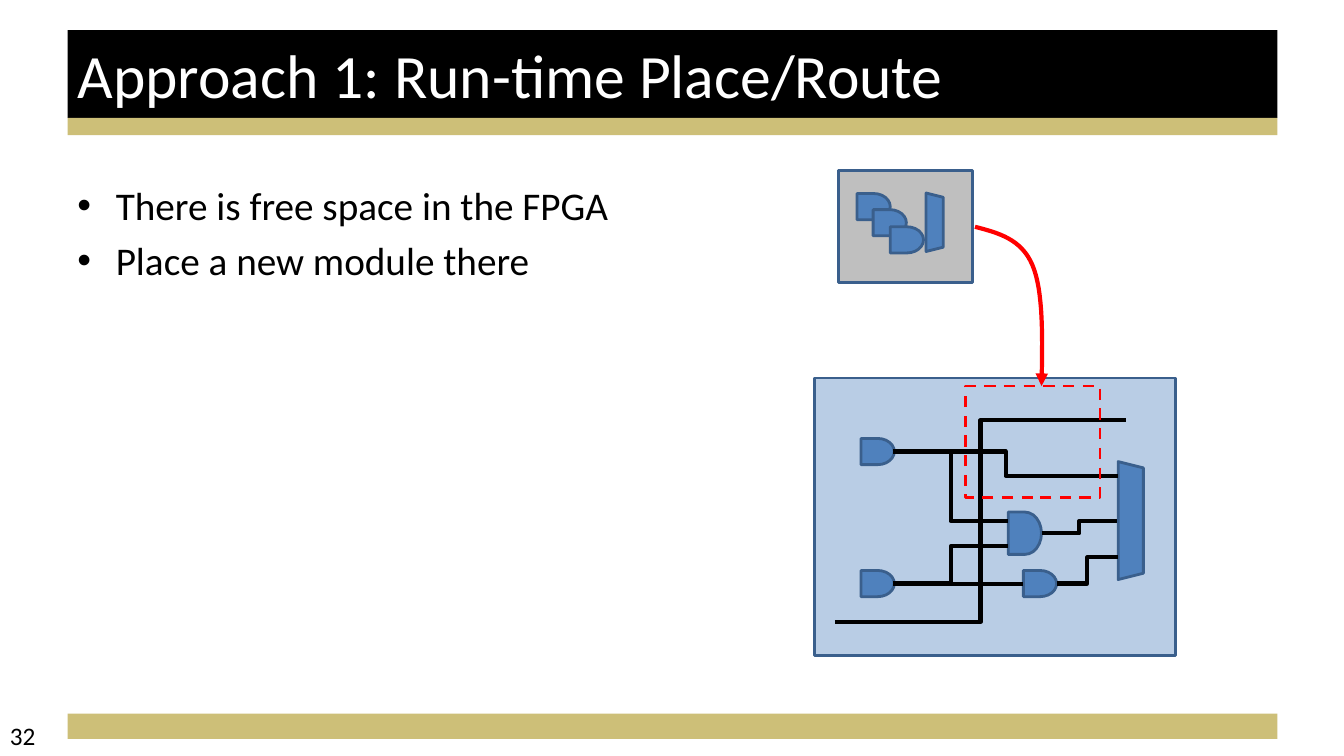
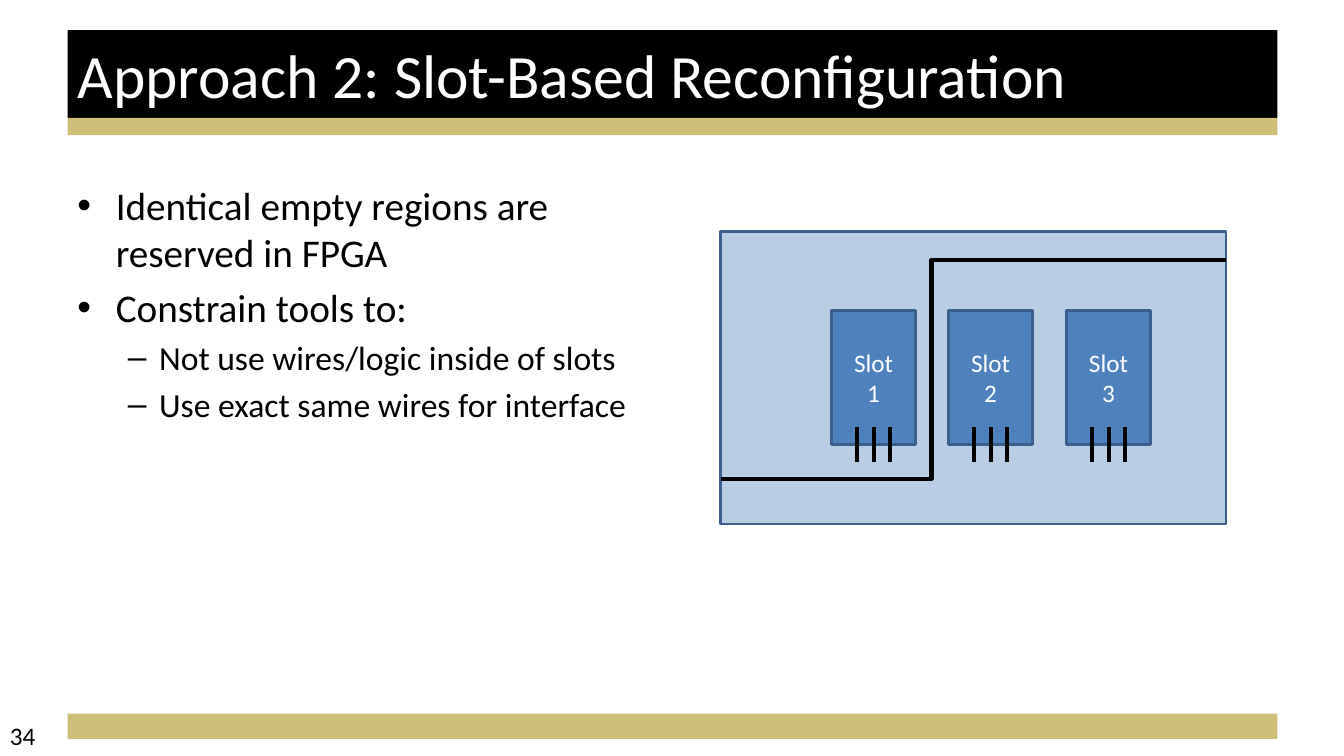
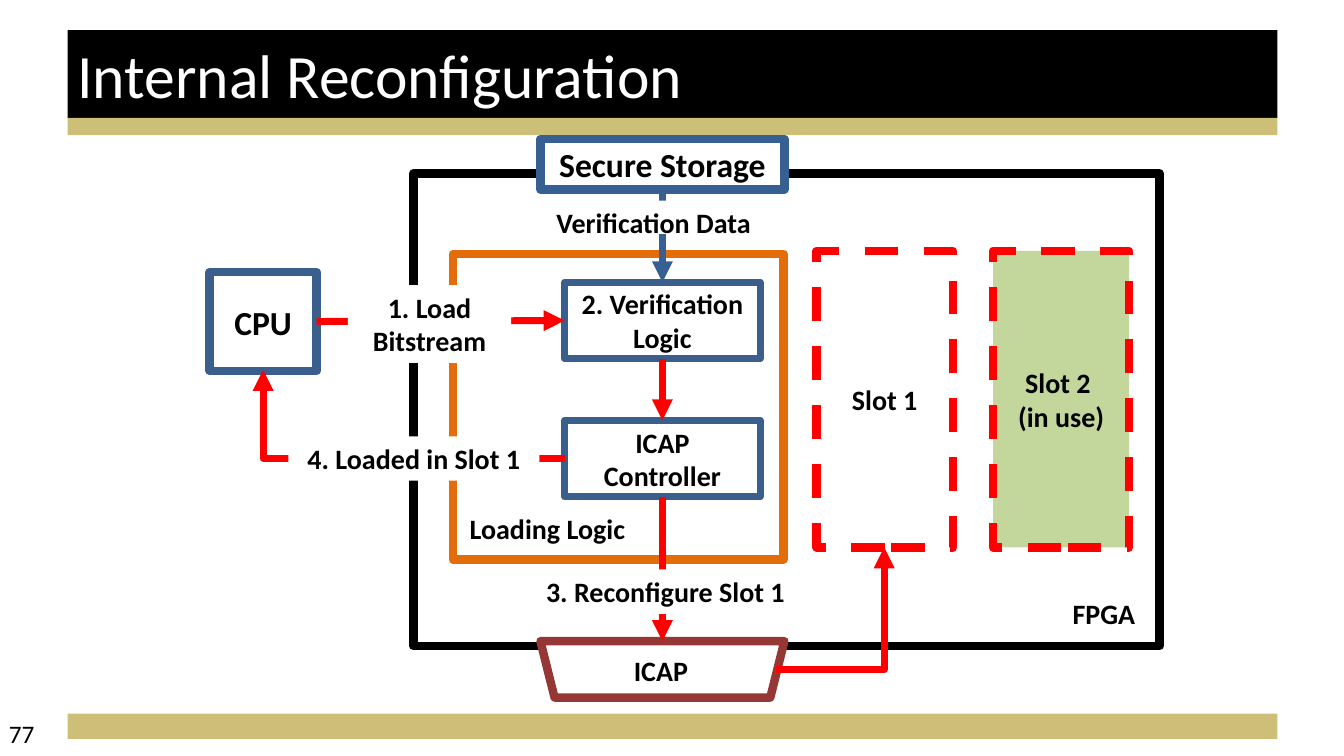
from lxml.etree import SubElement
from pptx import Presentation
from pptx.dml.color import RGBColor
from pptx.enum.dml import MSO_LINE
from pptx.enum.shapes import MSO_CONNECTOR as Wire, MSO_SHAPE as Form
from pptx.enum.text import MSO_ANCHOR as Anchor, PP_ALIGN as Align
from pptx.oxml.ns import qn
from pptx.util import Pt

PX = 9144
BLACK, WHITE, RED = "000000", "FFFFFF", "FF0000"
GOLD, NAVY, BLUE = "CDBF78", "3A5F8C", "4F81BD"
PALE, GRAY, GREEN = "B9CDE5", "BFBFBF", "C3D69B"
ORANGE, STEEL, WINE = "E46C0A", "376092", "953735"
LEVELS = [(28, 38, -38, "•"), (24, 81, -31, "–")]


def ink(color):
    return RGBColor.from_string(color)


def px(*values):
    return [int(value * PX) for value in values]


def put(target, values):
    for name, value in values.items():
        setattr(target, name, value)


def curve(a, b, c, d, steps=16):
    for step in range(1, steps + 1):
        t = step / steps
        s = 1 - t
        yield tuple(
            s**3 * p + 3 * s * s * t * q + 3 * s * t * t * r + t**3 * u
            for p, q, r, u in zip(a, b, c, d)
        )


class Deck:
    font = "Calibri"

    def __init__(self):
        self.show = Presentation()
        put(self.show, {"slide_width": 1333 * PX, "slide_height": 750 * PX})
        self.slide = None

    def page(self, title, number, left=0, top=710):
        self.slide = self.show.slides.add_slide(self.show.slide_layouts[6])
        self.shape((67, 708, 1200, 25), GOLD)
        band = self.shape((67, 30, 1200, 87), BLACK)
        self.fit(band, [title], 44, WHITE, align=Align.LEFT)
        self.shape((67, 117, 1200, 17), GOLD)
        self.label((left, top, 311, 40), number, 18, bold=False)

    def paint(self, item, fill, line, width, dash=False):
        if fill:
            item.fill.solid()
            item.fill.fore_color.rgb = ink(fill)
        else:
            item.fill.background()
        if line:
            self.stroke(item, line, width, dash)
        else:
            item.line.fill.background()

    def stroke(self, item, color, width, dash=False):
        item.line.color.rgb = ink(color)
        item.line.width = Pt(width)
        if dash:
            item.line.dash_style = MSO_LINE.DASH

    def arrow(self, item):
        edge = item.element.spPr.get_or_add_ln()
        SubElement(edge, qn("a:tailEnd"), type="triangle")

    def shape(self, box, fill=None, line=None, width=2, dash=False, form=Form.RECTANGLE, turn=0):
        item = self.slide.shapes.add_shape(form, *px(*box))
        item.shadow.inherit = False
        item.rotation = turn
        self.paint(item, fill, line, width, dash)
        return item

    def span(self, para, text, size, color, bold=False):
        part = para.add_run()
        part.text = text
        put(part.font, {"name": self.font, "size": Pt(size), "bold": bold})
        part.font.color.rgb = ink(color)

    def fit(self, item, lines, size, color=BLACK, bold=False, align=Align.CENTER, anchor=Anchor.MIDDLE):
        frame = item.text_frame
        put(frame, {"word_wrap": True, "vertical_anchor": anchor})
        for index, text in enumerate(lines):
            para = frame.add_paragraph() if index else frame.paragraphs[0]
            para.alignment = align
            self.span(para, text, size, color, bold)
        return item

    def label(self, box, text, size=20, fill=None, bold=True, align=Align.LEFT):
        item = self.slide.shapes.add_textbox(*px(*box))
        self.paint(item, fill, None, 0)
        self.fit(item, [text], size, BLACK, bold, align, Anchor.TOP)

    def block(self, box, lines, line, width, size=20, fill=None, dash=False):
        return self.fit(self.shape(box, fill, line, width, dash), lines, size, bold=True)

    def body(self, items):
        frame = self.slide.shapes.add_textbox(*px(67, 175, 589, 495)).text_frame
        frame.word_wrap = True
        for index, (level, text) in enumerate(items):
            size, left, hang, mark = LEVELS[level]
            para = frame.add_paragraph() if index else frame.paragraphs[0]
            if index:
                para.space_before = Pt(size / 5)
            para.level = level
            props = para._p.get_or_add_pPr()
            for name, value in {"marL": left, "indent": hang}.items():
                props.set(name, str(value * PX))
            SubElement(props, qn("a:buFont"), typeface="Arial")
            SubElement(props, qn("a:buChar"), char=mark)
            self.span(para, text, size, BLACK)

    def wire(self, start, end, color=BLACK, width=3, kind=Wire.STRAIGHT, head=False, tie=(None, None)):
        item = self.slide.shapes.add_connector(kind, *px(*start, *end))
        for join, site in zip((item.begin_connect, item.end_connect), tie):
            if site:
                join(*site)
        self.stroke(item, color, width)
        if head:
            self.arrow(item)
        SubElement(item.element.spPr, qn("a:effectLst"))
        return item

    def bend(self, start, end, ratio=None):
        item = self.wire(start, end, kind=Wire.ELBOW)
        if ratio:
            geom = item.element.spPr.find(qn("a:prstGeom"))
            guides = geom.find(qn("a:avLst"))
            if guides is None:
                guides = SubElement(geom, qn("a:avLst"))
            SubElement(guides, qn("a:gd"), name="adj1", fmla=f"val {int(ratio * 100000)}")

    def corner(self, start, end):
        item = self.wire(start, end, RED, 5, Wire.ELBOW, True)
        item.element.spPr.find(qn("a:prstGeom")).set("prst", "bentConnector2")

    def sweep(self, start, parts):
        build = self.slide.shapes.build_freeform(*px(*start), scale=1.0)
        for part in parts:
            points = [px(*point) for point in curve(start, *part)]
            build.add_line_segments(points, close=False)
            start = part[-1]
        item = build.convert_to_shape()
        item.shadow.inherit = False
        self.paint(item, None, RED, 3)
        self.arrow(item)

    def gate(self, left, top, high=26):
        self.shape((left, top, 33, high), BLUE, NAVY, form=Form.FLOWCHART_DELAY)

    def mux(self, *box):
        self.shape(box, BLUE, NAVY, form=Form.TRAPEZOID, turn=90)


def place(deck):
    deck.page("Approach 1: Run-time Place/Route", "32")
    deck.body([(0, "There is free space in the FPGA"), (0, "Place a new module there")])
    deck.shape((808, 375, 358, 275), PALE, NAVY)
    deck.mux(1063, 504, 117, 25)
    for spot in ((854, 435), (854, 566), (1015, 566)):
        deck.gate(*spot)
    deck.shape((832, 169, 133, 111), GRAY, NAVY)
    deck.mux(898, 212, 58, 17)
    for step in range(3):
        deck.gate(850 + step * 50 // 3, 192 + step * 50 // 3)
    deck.bend((828, 617), (1117, 417))
    deck.bend((886, 448), (1109, 472))
    deck.wire((886, 579), (1015, 579))
    deck.bend((1048, 579), (1109, 553))
    deck.shape((958, 383, 133, 111), None, RED, dash=True)
    deck.sweep((967, 225), [
        ((990, 231), (1013, 237), (1024, 263)),
        ((1035, 289), (1034, 336), (1033, 383)),
    ])
    deck.gate(1000, 508, 42)
    deck.bend((886, 448), (1000, 517))
    deck.bend((886, 579), (1000, 542))
    deck.bend((1033, 529), (1108, 517))


def slots(deck):
    deck.page("Approach 2: Slot-Based Reconfiguration", "34")
    deck.shape((715, 230, 501, 290), PALE, NAVY)
    deck.body([
        (0, "Identical empty regions are reserved in FPGA"),
        (0, "Constrain tools to:"),
        (1, "Not use wires/logic inside of slots"),
        (1, "Use exact same wires for interface"),
    ])
    for index in range(3):
        left = 825 + index * 350 // 3
        slot = deck.shape((left, 308, 83, 133), BLUE, NAVY)
        deck.fit(slot, ["Slot", str(index + 1)], 18, WHITE)
        for pin in (25, 42, 58):
            deck.wire((left + pin, 424), (left + pin, 458))
    deck.bend((715, 475), (1216, 258), 0.417)


def inner(deck):
    deck.page("Internal Reconfiguration", "77", -1, 708)
    deck.shape((449, 252, 328, 303), None, ORANGE, 6)
    deck.shape((410, 172, 740, 469), None, BLACK, 6)
    deck.shape((536, 636, 242, 56), WHITE, WINE, 6, form=Form.TRAPEZOID, turn=180)
    store = deck.block((536, 138, 242, 50), ["Secure Storage"], STEEL, 6, 24, WHITE)
    cpu = deck.block((208, 270, 106, 98), ["CPU"], NAVY, 6, 24)
    check = deck.block((560, 280, 194, 76), ["2. Verification", "Logic"], NAVY, 5)
    port = deck.block((560, 417, 194, 76), ["ICAP Controller"], NAVY, 5)
    deck.block((810, 249, 135, 294), ["Slot 1"], RED, 6, dash=True)
    deck.block((985, 249, 135, 294), ["Slot 2 ", "(in use)"], RED, 6, fill=GREEN, dash=True)
    for start, end, color, tie in (
        ((314, 318), (560, 318), RED, ((cpu, 3), (check, 1))),
        ((657, 356), (657, 417), RED, ((check, 2), (port, 0))),
        ((657, 493), (657, 636), RED, ((port, 2), None)),
        ((657, 188), (657, 280), STEEL, ((store, 2), (check, 0))),
    ):
        deck.wire(start, end, color, 5, head=True, tie=tie)
    deck.corner((770, 664), (877, 543))
    deck.corner((560, 455), (261, 367))
    for box, text in (
        ((345, 283, 162, 77), "1. Load Bitstream"),
        ((286, 433, 249, 44), "4. Loaded in Slot 1"),
        ((505, 565, 310, 44), "3. Reconfigure Slot 1"),
    ):
        deck.label(box, text, fill=WHITE, align=Align.CENTER)
    deck.label((542, 199, 227, 33), "Verification Data", fill=WHITE)
    deck.label((456, 503, 193, 33), "Loading Logic")
    deck.label((1054, 587, 87, 33), "FPGA")
    deck.label((615, 643, 81, 33), "ICAP", align=Align.CENTER)


def main():
    deck = Deck()
    for draw in (place, slots, inner):
        draw(deck)
    deck.show.save("out.pptx")


if __name__ == "__main__":
    main()
